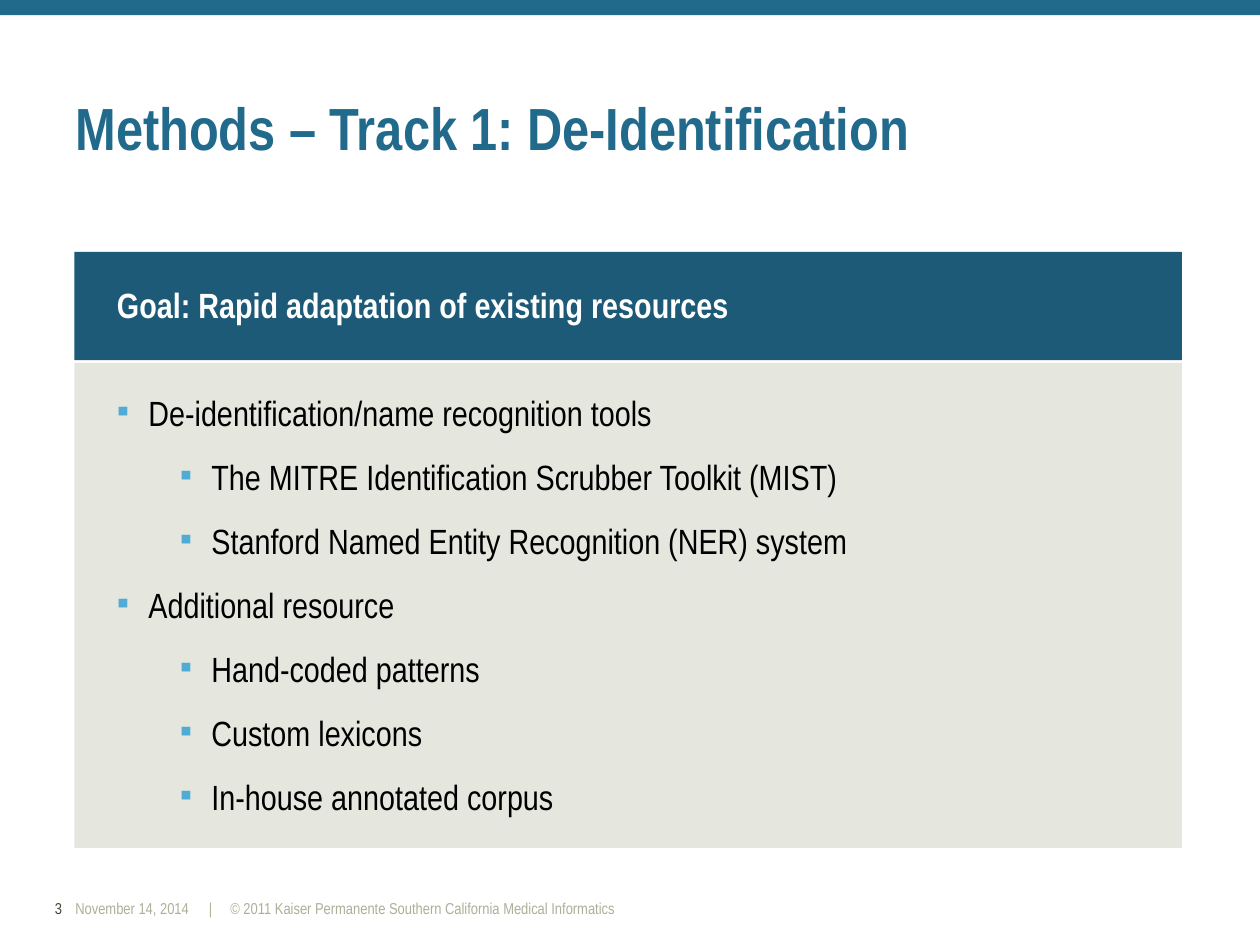
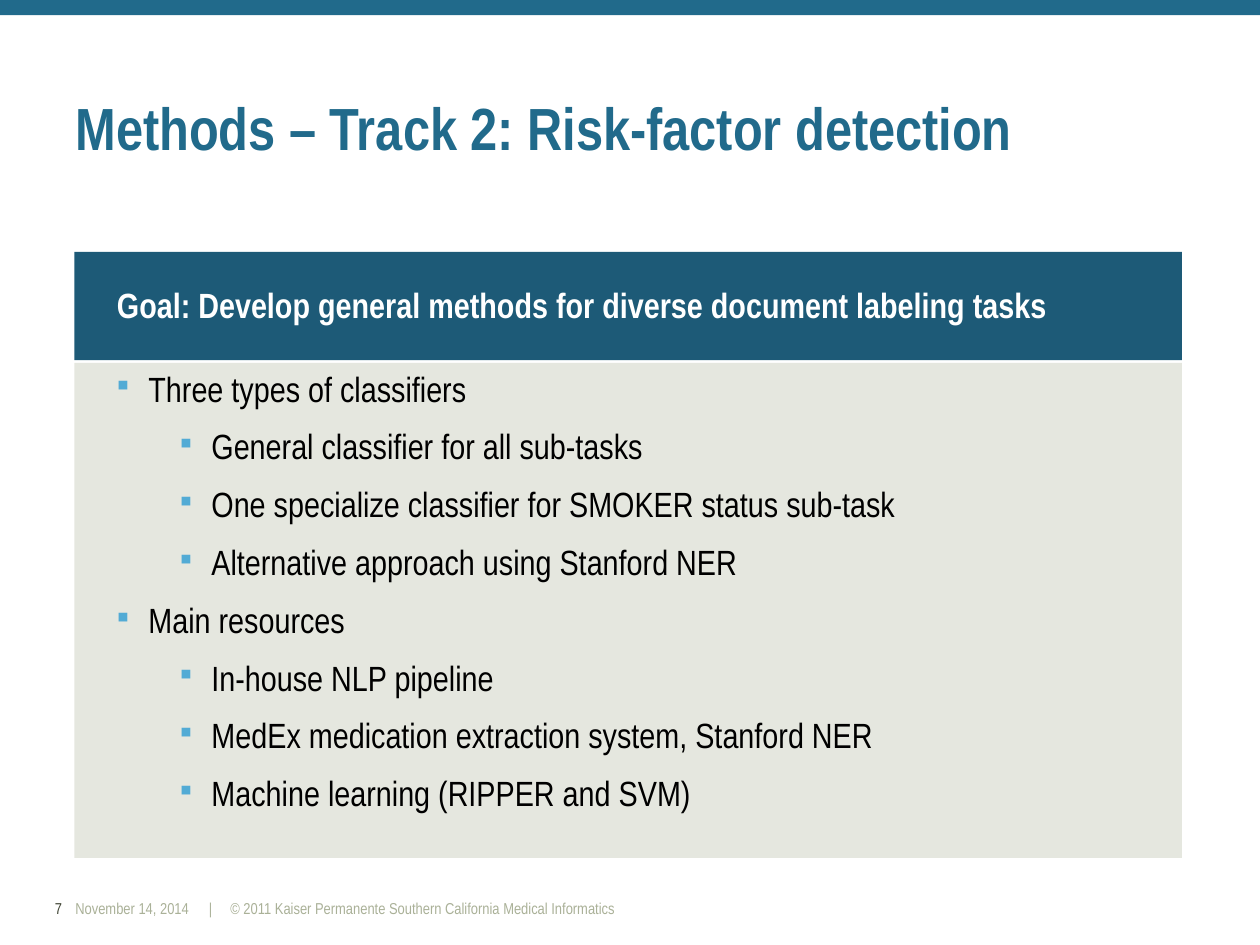
from lxml import etree
from pptx import Presentation
from pptx import util as u
from pptx.dml.color import RGBColor
from pptx.enum import shapes, text
from pptx.oxml import ns

Inches, Pt = u.Inches, u.Pt

FONT = "Arial Narrow"
TEAL = RGBColor(0x21, 0x6A, 0x8B)
DARK_TEAL = RGBColor(0x1D, 0x5A, 0x77)
SAGE = RGBColor(0xAA, 0xB1, 0x98)
OLIVE = RGBColor(0x41, 0x46, 0x36)
WHITE = RGBColor(0xFF, 0xFF, 0xFF)
BLACK = RGBColor(0x00, 0x00, 0x00)
BULLET_BLUE = "52ABD5"

PANEL_LEFT, PANEL_WIDTH = 0.59, 8.79
TEXT_LEFT = 0.83
FOOTER_TOP, FOOTER_HEIGHT = 7.08, 0.25
INDENT = 0.25
LEVEL_STEP = 0.5

# Each item is (level, wording).
SLIDES = [
    {
        "number": "3",
        "title": "Methods – Track 1: De-Identification",
        "goal": "Goal: Rapid adaptation of existing resources",
        "panel_height": 3.85,
        "list_top": 3.08,
        "list_height": 3.47,
        "line_spacing": 0.95,
        "items": [
            (0, "De-identification/name recognition tools"),
            (1, "The MITRE Identification Scrubber Toolkit (MIST)"),
            (1, "Stanford Named Entity Recognition (NER) system"),
            (0, "Additional resource"),
            (1, "Hand-coded patterns"),
            (1, "Custom lexicons"),
            (1, "In-house annotated corpus"),
        ],
    },
    {
        "number": "7",
        "title": "Methods – Track 2: Risk-factor detection",
        "goal": "Goal: Develop general methods for diverse document labeling tasks",
        "panel_height": 3.93,
        "list_top": 2.93,
        "list_height": 3.57,
        "line_spacing": 0.8,
        "items": [
            (0, "Three types of classifiers"),
            (1, "General classifier for all sub-tasks"),
            (1, "One specialize classifier for SMOKER status sub-task"),
            (1, "Alternative approach using Stanford NER"),
            (0, "Main resources"),
            (1, "In-house NLP pipeline"),
            (1, "MedEx medication extraction system, Stanford NER"),
            (1, "Machine learning (RIPPER and SVM)"),
        ],
    },
]


def add_bar(slide, left, top, width, height, color):
    """Add a plain filled rectangle without outline or shadow."""
    bar = slide.shapes.add_shape(
        shapes.MSO_SHAPE.RECTANGLE, Inches(left), Inches(top), Inches(width), Inches(height)
    )
    bar.shadow.inherit = False
    bar.fill.solid()
    bar.fill.fore_color.rgb = color
    bar.line.fill.background()
    return bar


def add_text(slide, left, top, width, height, wording, size, color, bold=False):
    """Add a text box, one paragraph per line, and return its text frame."""
    box = slide.shapes.add_textbox(Inches(left), Inches(top), Inches(width), Inches(height))
    frame = box.text_frame
    frame.word_wrap = True
    frame.auto_size = text.MSO_AUTO_SIZE.SHAPE_TO_FIT_TEXT
    frame.text = wording
    for paragraph in frame.paragraphs:
        font = paragraph.runs[0].font
        font.name, font.size, font.bold = FONT, Pt(size), bold
        font.color.rgb = color
    return frame


presentation = Presentation()
presentation.slide_width = Inches(10)
presentation.slide_height = Inches(7.5)
title_only = presentation.slide_layouts[5]

for content in SLIDES:
    slide = presentation.slides.add_slide(title_only)
    add_bar(slide, 0, 0, 10, 0.12, TEAL)

    # Title
    title = slide.shapes.title
    title.left, title.top = Inches(0.5), Inches(0.73)
    title.width, title.height = Inches(9), Inches(0.62)
    title.text_frame.text = content["title"]
    title.text_frame.vertical_anchor = text.MSO_ANCHOR.BOTTOM
    title.text_frame.auto_size = text.MSO_AUTO_SIZE.SHAPE_TO_FIT_TEXT
    paragraph = title.text_frame.paragraphs[0]
    paragraph.alignment = text.PP_ALIGN.LEFT
    paragraph.line_spacing = 0.9
    font = paragraph.runs[0].font
    font.name, font.size, font.bold = FONT, Pt(34), True
    font.color.rgb = TEAL

    # Footer
    number = add_text(slide, 0.08, FOOTER_TOP, 0.51, FOOTER_HEIGHT, content["number"], 9, OLIVE)
    number.paragraphs[0].alignment = text.PP_ALIGN.RIGHT
    add_text(slide, 0.5, FOOTER_TOP, 1.4, FOOTER_HEIGHT, "November 14, 2014", 9, SAGE)
    copyright_line = add_text(
        slide, 1.56, FOOTER_TOP, 5.01, FOOTER_HEIGHT,
        "|\t© 2011 Kaiser Permanente Southern California Medical Informatics", 9, SAGE,
    )
    properties = copyright_line.paragraphs[0]._p.get_or_add_pPr()
    tabs = etree.SubElement(properties, ns.qn("a:tabLst"))
    etree.SubElement(tabs, ns.qn("a:tab"), pos=str(Inches(0.17)), algn="l")

    # Goal header and panel
    panel = add_bar(slide, PANEL_LEFT, 2.88, PANEL_WIDTH, content["panel_height"], SAGE)
    panel_color = panel.fill._xPr.find(".//" + ns.qn("a:srgbClr"))
    etree.SubElement(panel_color, ns.qn("a:alpha"), val="30000")
    add_bar(slide, PANEL_LEFT, 2, PANEL_WIDTH, 0.86, DARK_TEAL)
    add_text(slide, TEXT_LEFT, 2.2, 7.67, 0.44, content["goal"], 20, WHITE, bold=True)

    # Bulleted list
    items = content["items"]
    wording = "\n".join(item for _, item in items)
    bullets = add_text(
        slide, TEXT_LEFT, content["list_top"], 7.76, content["list_height"], wording, 20, BLACK
    )
    for index, (paragraph, (level, _)) in enumerate(zip(bullets.paragraphs, items)):
        properties = paragraph._p.get_or_add_pPr()
        properties.set("marL", str(Inches(INDENT + level * LEVEL_STEP)))
        properties.set("indent", str(-Inches(INDENT)))
        bullet_color = etree.SubElement(properties, ns.qn("a:buClr"))
        etree.SubElement(bullet_color, ns.qn("a:srgbClr"), val=BULLET_BLUE)
        etree.SubElement(properties, ns.qn("a:buFont"), typeface=FONT)
        etree.SubElement(properties, ns.qn("a:buChar"), char="▪")
        paragraph.level = level
        paragraph.line_spacing = content["line_spacing"]
        if index:
            paragraph.space_before = Pt(13.8)

presentation.save("out.pptx")
